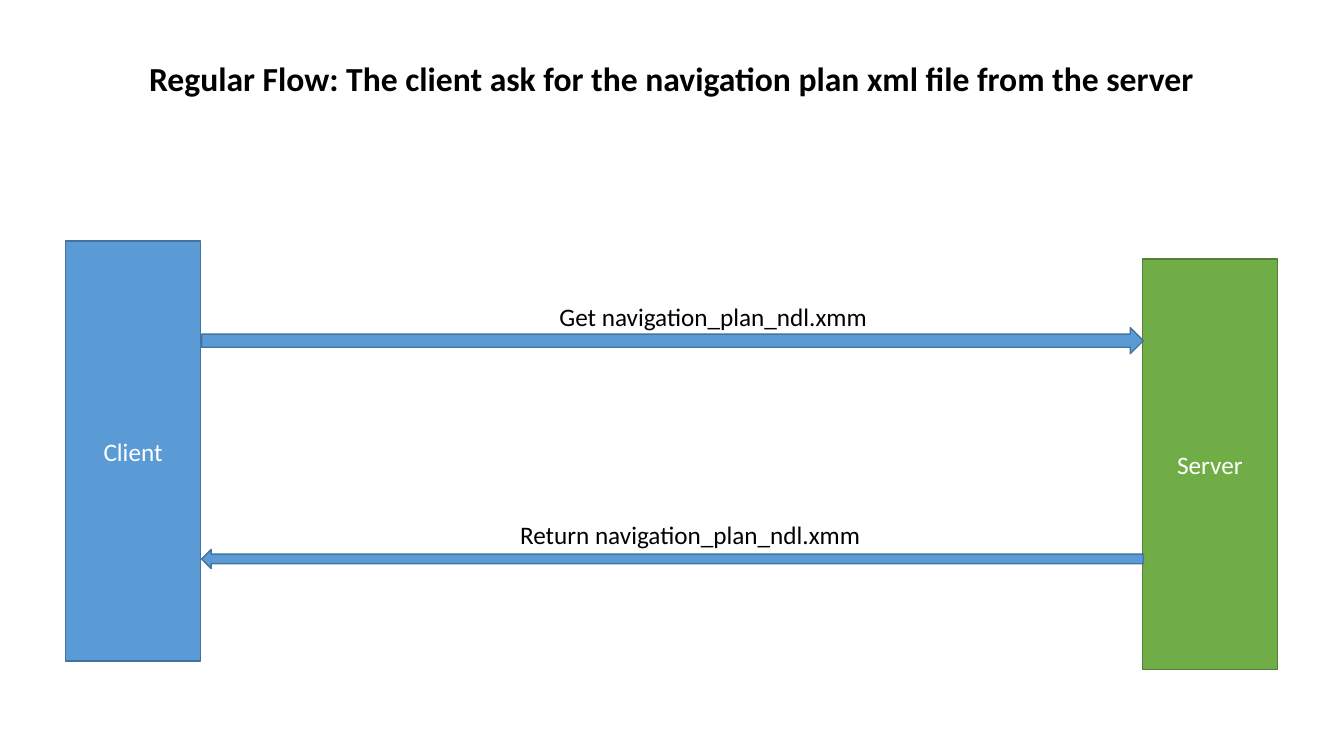
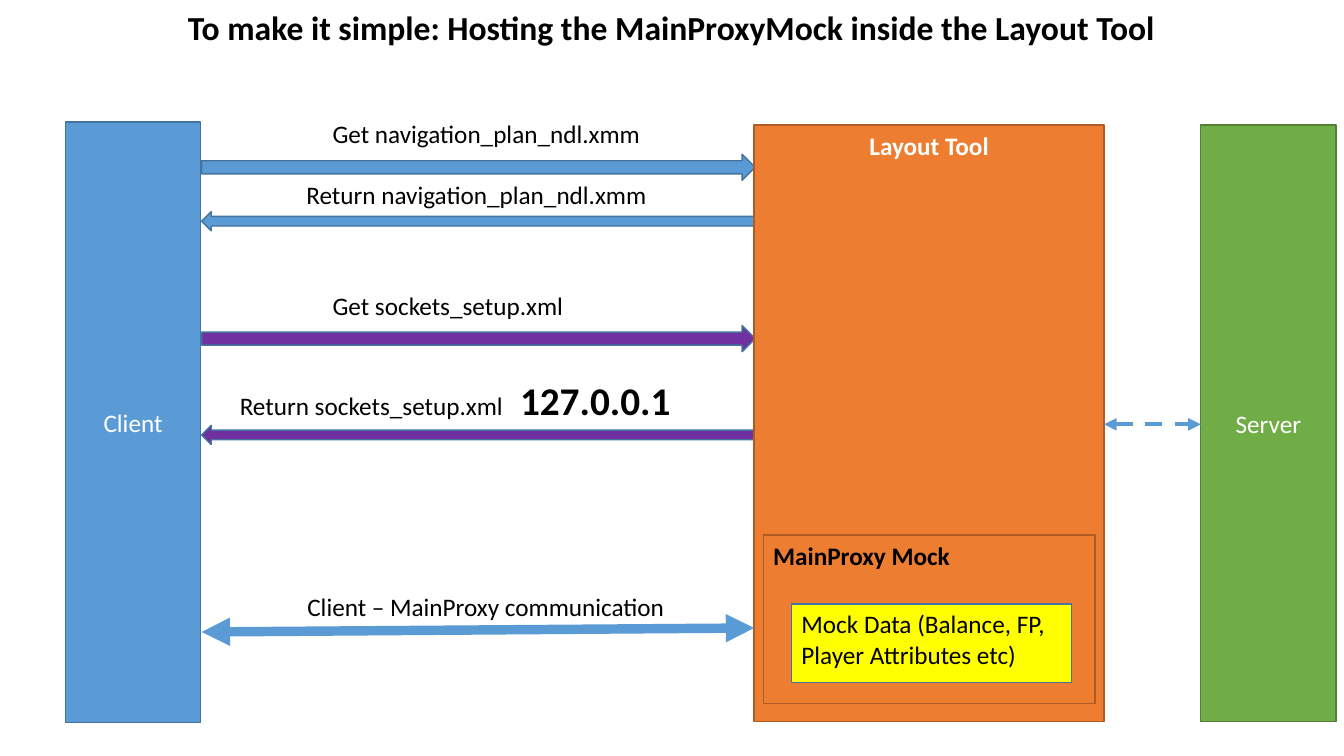
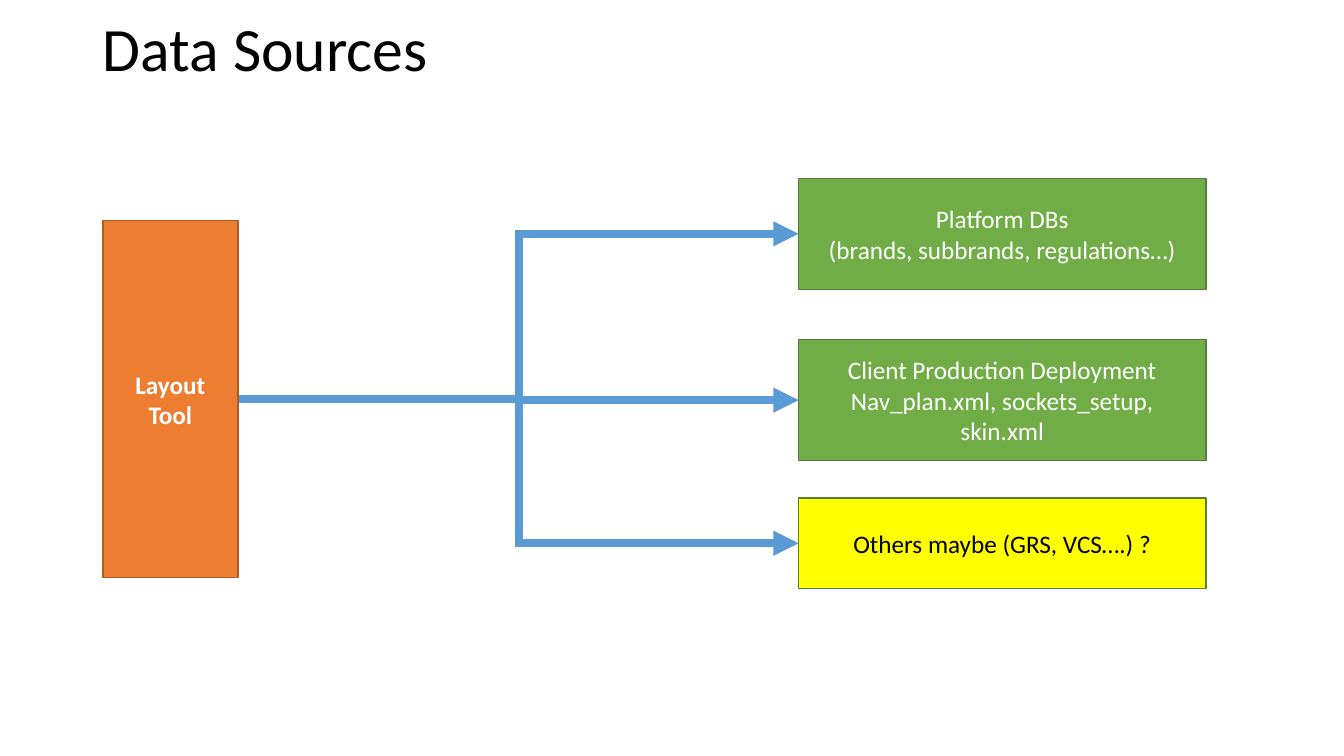
from lxml import etree
from pptx import Presentation
from pptx.dml.color import RGBColor
from pptx.enum import dml, shapes, text
from pptx.oxml import ns
from pptx.util import Inches, Pt

BLUE, BLUE_EDGE = RGBColor(0x5B, 0x9B, 0xD5), RGBColor(0x43, 0x73, 0x9E)
GREEN, GREEN_EDGE = RGBColor(0x70, 0xAD, 0x47), RGBColor(0x53, 0x80, 0x35)
ORANGE, ORANGE_EDGE = RGBColor(0xED, 0x7D, 0x31), RGBColor(0xAF, 0x5C, 0x24)
PURPLE = RGBColor(0x70, 0x30, 0xA0)
YELLOW = RGBColor(0xFF, 0xFF, 0x00)
BLACK, WHITE = RGBColor(0, 0, 0), RGBColor(0xFF, 0xFF, 0xFF)
FONT = "Calibri"

RECT = shapes.MSO_SHAPE.RECTANGLE
RIGHT, LEFT = shapes.MSO_SHAPE.RIGHT_ARROW, shapes.MSO_SHAPE.LEFT_ARROW
STRAIGHT, ELBOW = shapes.MSO_CONNECTOR.STRAIGHT, shapes.MSO_CONNECTOR.ELBOW
ALIGN_LEFT, CENTER = text.PP_ALIGN.LEFT, text.PP_ALIGN.CENTER
TOP, MIDDLE = text.MSO_ANCHOR.TOP, text.MSO_ANCHOR.MIDDLE


def write(frame, wording, color=BLACK, size=18, bold=False, align=ALIGN_LEFT, anchor=TOP):
    frame.word_wrap = True
    frame.auto_size = text.MSO_AUTO_SIZE.NONE
    frame.vertical_anchor = anchor
    frame.text = wording
    for paragraph in frame.paragraphs:
        paragraph.alignment = align
        paragraph.font.name = FONT
        paragraph.font.size = Pt(size)
        paragraph.font.bold = bold
        paragraph.font.color.rgb = color


def block(slide, place, fill, edge, wording="", kind=RECT, color=WHITE, bold=False,
          align=CENTER, anchor=MIDDLE):
    shape = slide.shapes.add_shape(kind, *map(Inches, place))
    shape.shadow.inherit = False
    if fill is None:
        shape.fill.background()
    else:
        shape.fill.solid()
        shape.fill.fore_color.rgb = fill
    shape.line.color.rgb = edge
    shape.line.width = Pt(1)
    if wording:
        write(shape.text_frame, wording, color, bold=bold, align=align, anchor=anchor)


deck = Presentation()
deck.slide_width, deck.slide_height = Inches(13.33), Inches(7.5)

pages = []
for heading, place, size, bold, align, anchor in [
    ("Regular Flow: The client ask for the navigation plan xml file from the server",
     (0.65, 0.52, 12.02, 0.5), 24, True, CENTER, TOP),
    ("To make it simple: Hosting the MainProxyMock inside the Layout Tool",
     (0.65, 0.02, 12.02, 0.5), 24, True, CENTER, TOP),
    ("Data Sources", (0.92, 0.02, 11.5, 0.99), 44, False, ALIGN_LEFT, MIDDLE),
]:
    page = deck.slides.add_slide(deck.slide_layouts[5])
    title = page.shapes.title
    title.left, title.top, title.width, title.height = map(Inches, place)
    write(title.text_frame, heading, BLACK, size, bold, align, anchor)
    pages.append(page)
regular, hosted, sources = pages
sources.shapes.title.text_frame.paragraphs[0].line_spacing = 0.9

for page, client, server in [
    (regular, (0.65, 2.39, 1.34, 4.17), (11.33, 2.57, 1.34, 4.07)),
    (hosted, (0.65, 1.21, 1.34, 5.96), (11.91, 1.24, 1.34, 5.92)),
]:
    block(page, client, BLUE, BLUE_EDGE, "Client")
    block(page, server, GREEN, GREEN_EDGE, "Server")

for page, direction, top, length, fill in [
    (regular, RIGHT, 3.25, 9.34, BLUE),
    (regular, LEFT, 5.45, 9.34, BLUE),
    (hosted, RIGHT, 1.53, 5.49, BLUE),
    (hosted, LEFT, 2.1, 5.49, BLUE),
    (hosted, RIGHT, 3.23, 5.49, PURPLE),
    (hosted, LEFT, 4.22, 5.49, PURPLE),
]:
    height = 0.26 if direction == RIGHT else 0.19
    block(page, (2, top, length, height), fill, BLUE_EDGE, kind=direction)

block(hosted, (7.48, 1.24, 3.47, 5.92), ORANGE, ORANGE_EDGE, "Layout Tool",
      bold=True, anchor=TOP)
block(hosted, (7.57, 5.31, 3.29, 1.67), None, ORANGE_EDGE, "MainProxy Mock",
      color=BLACK, bold=True, align=ALIGN_LEFT, anchor=TOP)
block(hosted, (7.85, 5.99, 2.78, 0.78), YELLOW, BLUE_EDGE,
      "Mock Data (Balance, FP, Player Attributes etc)",
      color=BLACK, align=ALIGN_LEFT, anchor=TOP)

for page, left, top, width, wording in [
    (regular, 5.45, 2.94, 3.35, "Get navigation_plan_ndl.xmm"),
    (regular, 5.06, 5.1, 3.7, "Return navigation_plan_ndl.xmm"),
    (hosted, 3.2, 1.12, 3.35, "Get navigation_plan_ndl.xmm"),
    (hosted, 2.94, 1.73, 3.7, "Return navigation_plan_ndl.xmm"),
    (hosted, 3.2, 2.83, 2.6, "Get sockets_setup.xml"),
    (hosted, 2.95, 5.82, 3.9, "Client – MainProxy communication"),
]:
    label = page.shapes.add_textbox(*map(Inches, (left, top, width, 0.4)))
    write(label.text_frame, wording)

setup_reply = hosted.shapes.add_textbox(*map(Inches, (2.28, 3.68, 4.87, 0.57)))
write(setup_reply.text_frame, "Return sockets_setup.xml\t")
reply_line = setup_reply.text_frame.paragraphs[0]
tabs = etree.Element(ns.qn("a:tabLst"))
etree.SubElement(tabs, ns.qn("a:tab"), pos=str(Inches(2.78)), algn="l")
reply_line._p.get_or_add_pPr().insert(0, tabs)
address = reply_line.add_run()
address.text = "127.0.0.1"
address.font.size = Pt(28)
address.font.bold = True

links = [
    (hosted, STRAIGHT, (2, 6.27), (7.48, 6.23), 6.75),
    (hosted, STRAIGHT, (10.95, 4.21), (11.91, 4.21), 3),
]
block(sources, (1.02, 2.19, 1.34, 3.54), ORANGE, ORANGE_EDGE, "Layout Tool", bold=True)
for top, height, fill, color, wording in [
    (1.77, 1.1, GREEN, WHITE, "Platform DBs\n(brands, subbrands, regulations…)"),
    (3.37, 1.2, GREEN, WHITE,
     "Client Production Deployment\nNav_plan.xml, sockets_setup, skin.xml"),
    (4.94, 0.9, YELLOW, BLACK, "Others maybe (GRS, VCS….) ?"),
]:
    block(sources, (7.92, top, 4.04, height), fill, GREEN_EDGE, wording, color=color)
    links.append((sources, ELBOW, (2.37, 3.96), (7.92, top + height / 2), 6))

for page, kind, start, end, weight in links:
    link = page.shapes.add_connector(kind, *map(Inches, start + end))
    link.line.color.rgb = BLUE
    link.line.width = Pt(weight)
    if weight == 3:
        link.line.dash_style = dml.MSO_LINE.DASH
    outline = link.line._get_or_add_ln()
    etree.SubElement(outline, ns.qn("a:miter"), lim="800000")
    if kind == STRAIGHT:
        etree.SubElement(outline, ns.qn("a:headEnd"), type="triangle")
    etree.SubElement(outline, ns.qn("a:tailEnd"), type="triangle")
    etree.SubElement(link._element.spPr, ns.qn("a:effectLst"))

deck.save("out.pptx")
